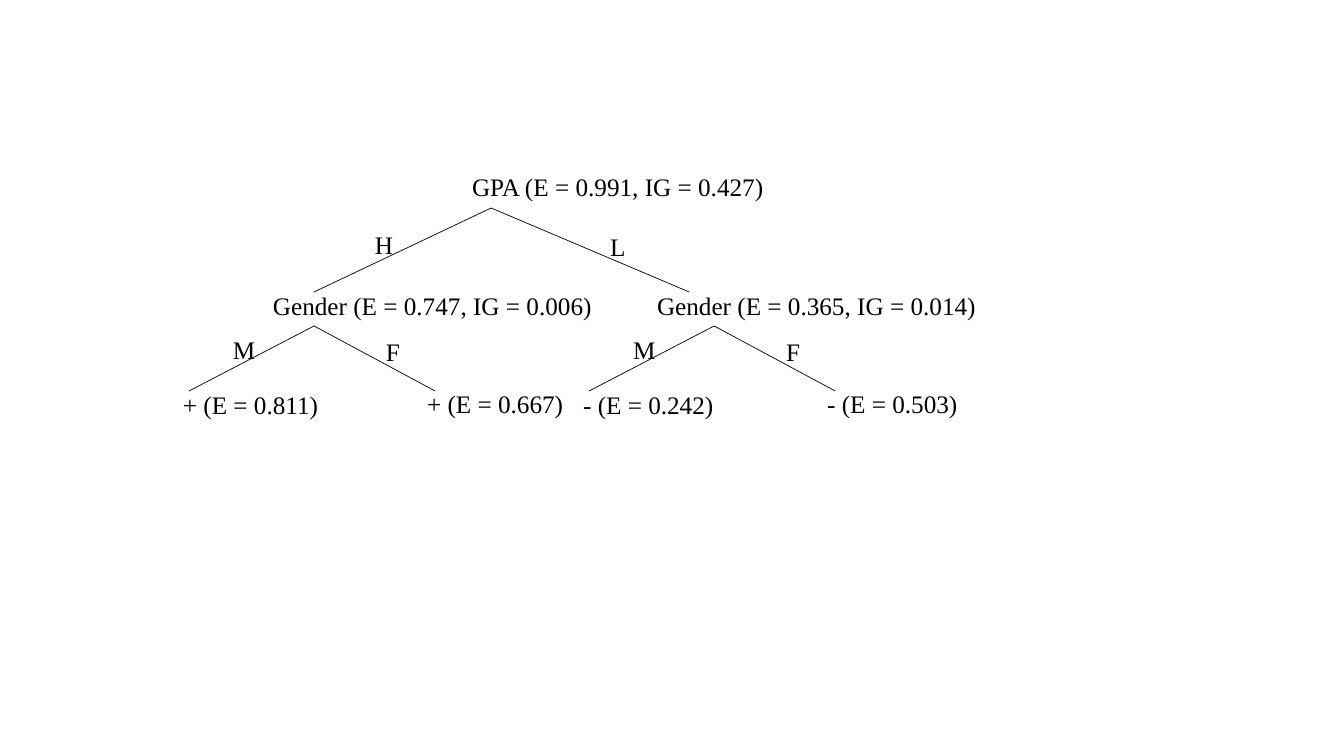
from lxml import etree
from pptx import Presentation
from pptx import util as u
from pptx.dml.color import RGBColor
from pptx.enum import shapes, text
from pptx.oxml.ns import qn

SCALE = u.Inches(1) / 100.8
BLACK = RGBColor(0, 0, 0)
FONT = "Times New Roman"
ROW = 40      # height of a text box
SHIFT = 400   # from the left subtree to the right one


def px(n):
    """Turn pixels into EMU."""
    return u.Emu(round(n * SCALE))


def write(group, words, x, y, width, size=18, color=BLACK, font=FONT):
    """Add a one-line text box."""
    box = group.shapes.add_textbox(px(x), px(y), px(width), px(ROW))
    frame = box.text_frame
    frame.word_wrap = True
    frame.auto_size = text.MSO_AUTO_SIZE.SHAPE_TO_FIT_TEXT
    run = frame.paragraphs[0].add_run()
    run.text = words
    run.font.size = u.Pt(size)
    run.font.name = font
    run.font.color.rgb = color


def edge(group, start, end):
    """Add a thin line without shadow."""
    line = group.shapes.add_connector(
        shapes.MSO_CONNECTOR.STRAIGHT, *map(px, start + end))
    line.line.color.rgb = BLACK
    line.line.width = u.Pt(0.5)
    etree.SubElement(line._element.spPr, qn("a:effectLst"))


def split(group, top, ends, labels):
    """Draw the labelled edges that leave a node."""
    for end in ends:
        edge(group, top, end)
    for label in labels:
        write(group, *label)


def gender(group, shift, node, left, right):
    """Draw a gender node with its two leaves."""
    write(group, *node, 285, 344)
    split(group, (314 + shift, 326),
          [(189 + shift, 391), (435 + shift, 391)],
          [("M", 223 + shift, 329, 38), ("F", 376 + shift, 331, 38)])
    write(group, left, 173 + shift, 384, 161)
    write(group, right, 417 + shift, 383, 161)


def main():
    """Build the decision tree slide."""
    deck = Presentation()
    deck.slide_width, deck.slide_height = u.Inches(13.33), u.Inches(7.5)
    slide = deck.slides.add_slide(deck.slide_layouts[6])
    tree = slide.shapes.add_group_shape()

    write(tree, "GPA (E = 0.991, IG = 0.427)", 462, 166, 315)
    split(tree, (491, 208), [(314, 292), (689, 292)],
          [("H", 365, 224, 38), ("L", 600, 226, 36)])
    gender(tree, 0, ("Gender (E = 0.747, IG = 0.006)", 263),
           "+ (E = 0.811)", "+ (E = 0.667)")
    gender(tree, SHIFT, ("Gender (E = 0.365, IG = 0.014)", 647),
           "- (E = 0.242)", "- (E = 0.503)")

    deck.save("out.pptx")


main()
